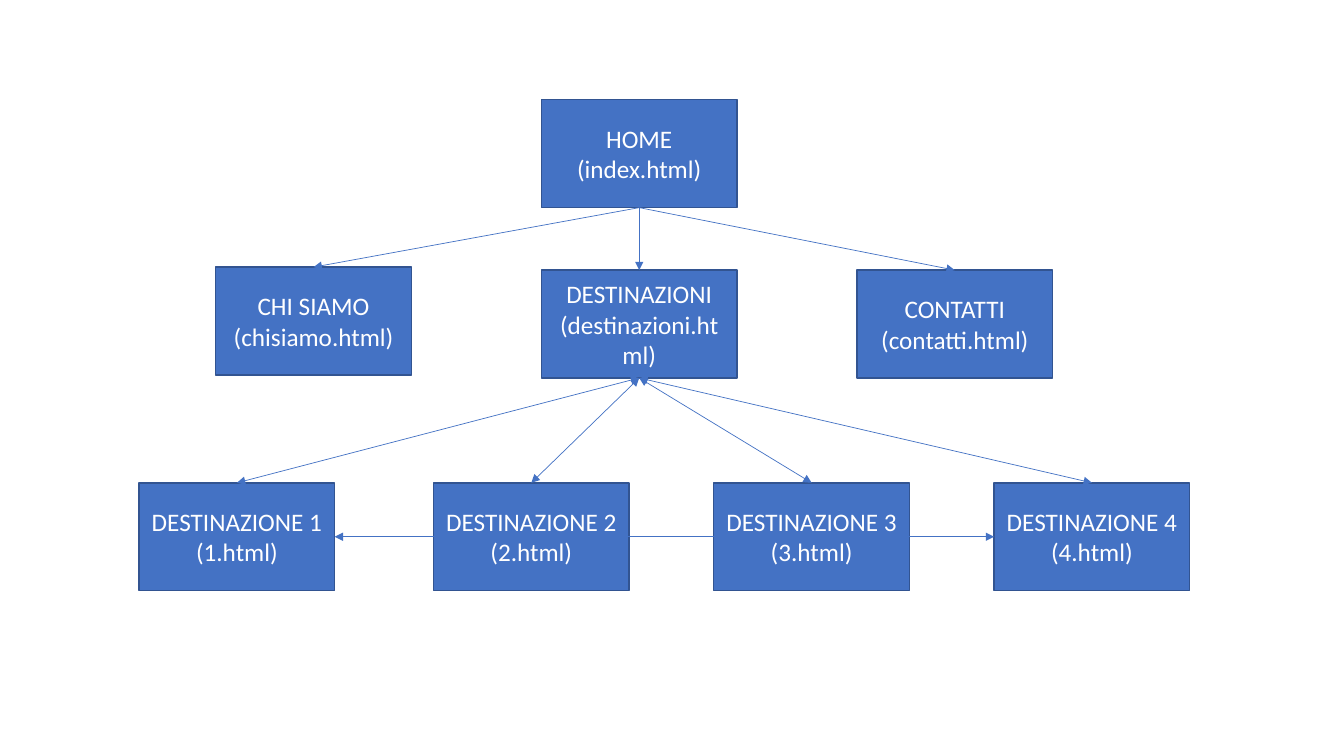
from lxml.etree import SubElement
from pptx import Presentation
from pptx.dml.color import RGBColor
from pptx.enum.shapes import MSO_CONNECTOR as Connector, MSO_SHAPE as Shape
from pptx.enum.text import MSO_ANCHOR as Anchor, PP_ALIGN as Align
from pptx.oxml.ns import qn
from pptx.util import Inches, Pt

COLORS = {"page": "4472C4", "border": "325491", "link": "4472C4", "text": "FFFFFF"}
PAGE_WIDTH, PAGE_HEIGHT = 1.94, 1.07
TOP, LEFT, BOTTOM, RIGHT = range(4)


def color(key):
    return RGBColor.from_string(COLORS[key])


def write_text(frame, lines, size=18, font="Calibri", fill="text", align=Align.CENTER):
    frame.word_wrap = True
    frame.vertical_anchor = Anchor.MIDDLE
    for index, line in enumerate(lines):
        paragraph = frame.add_paragraph() if index else frame.paragraphs[0]
        paragraph.alignment = align
        run = paragraph.add_run()
        run.text = line
        run.font.size = Pt(size)
        run.font.name = font
        run.font.color.rgb = color(fill)


def add_page(slide, left, top, title, file_name):
    page = slide.shapes.add_shape(
        Shape.RECTANGLE, Inches(left), Inches(top), Inches(PAGE_WIDTH), Inches(PAGE_HEIGHT)
    )
    page.shadow.inherit = False
    page.fill.solid()
    page.fill.fore_color.rgb = color("page")
    page.line.color.rgb = color("border")
    page.line.width = Pt(1)
    write_text(page.text_frame, [title, f"({file_name}.html)"])
    return page


def add_link(slide, source, target, source_side=BOTTOM, target_side=TOP, both_ways=False):
    link = slide.shapes.add_connector(Connector.STRAIGHT, 0, 0, 0, 0)
    link.begin_connect(source, source_side)
    link.end_connect(target, target_side)
    link.line.color.rgb = color("link")
    link.line.width = Pt(0.5)
    outline = link.line._get_or_add_ln()
    for end in ("a:headEnd", "a:tailEnd") if both_ways else ("a:tailEnd",):
        SubElement(outline, qn(end), type="triangle")
    SubElement(link._element.spPr, qn("a:effectLst"))


def add_sections(slide, left, top):
    about = add_page(slide, left, top, "CHI SIAMO", "chisiamo")
    destinations = add_page(slide, left + 3.23, top + 0.03, "DESTINAZIONI", "destinazioni")
    contacts = add_page(slide, left + 6.36, top + 0.03, "CONTATTI", "contatti")
    return about, destinations, contacts


def add_destinations(slide, left, top):
    offsets = (0, 2.92, 5.7, 8.48)
    return [
        add_page(slide, left + offset, top, f"DESTINAZIONE {number}", str(number))
        for number, offset in enumerate(offsets, 1)
    ]


def add_site_map(slide):
    home = add_page(slide, 5.37, 0.99, "HOME", "index")
    sections = add_sections(slide, 2.14, 2.65)
    destinations = add_destinations(slide, 1.38, 4.79)
    for section in sections:
        add_link(slide, home, section)
    for destination in destinations:
        add_link(slide, sections[1], destination, both_ways=True)
    add_link(slide, destinations[0], destinations[-1], RIGHT, LEFT, both_ways=True)


def main():
    deck = Presentation()
    deck.slide_width, deck.slide_height = Inches(13.33), Inches(7.5)
    add_site_map(deck.slides.add_slide(deck.slide_layouts[6]))
    deck.save("out.pptx")


if __name__ == "__main__":
    main()
